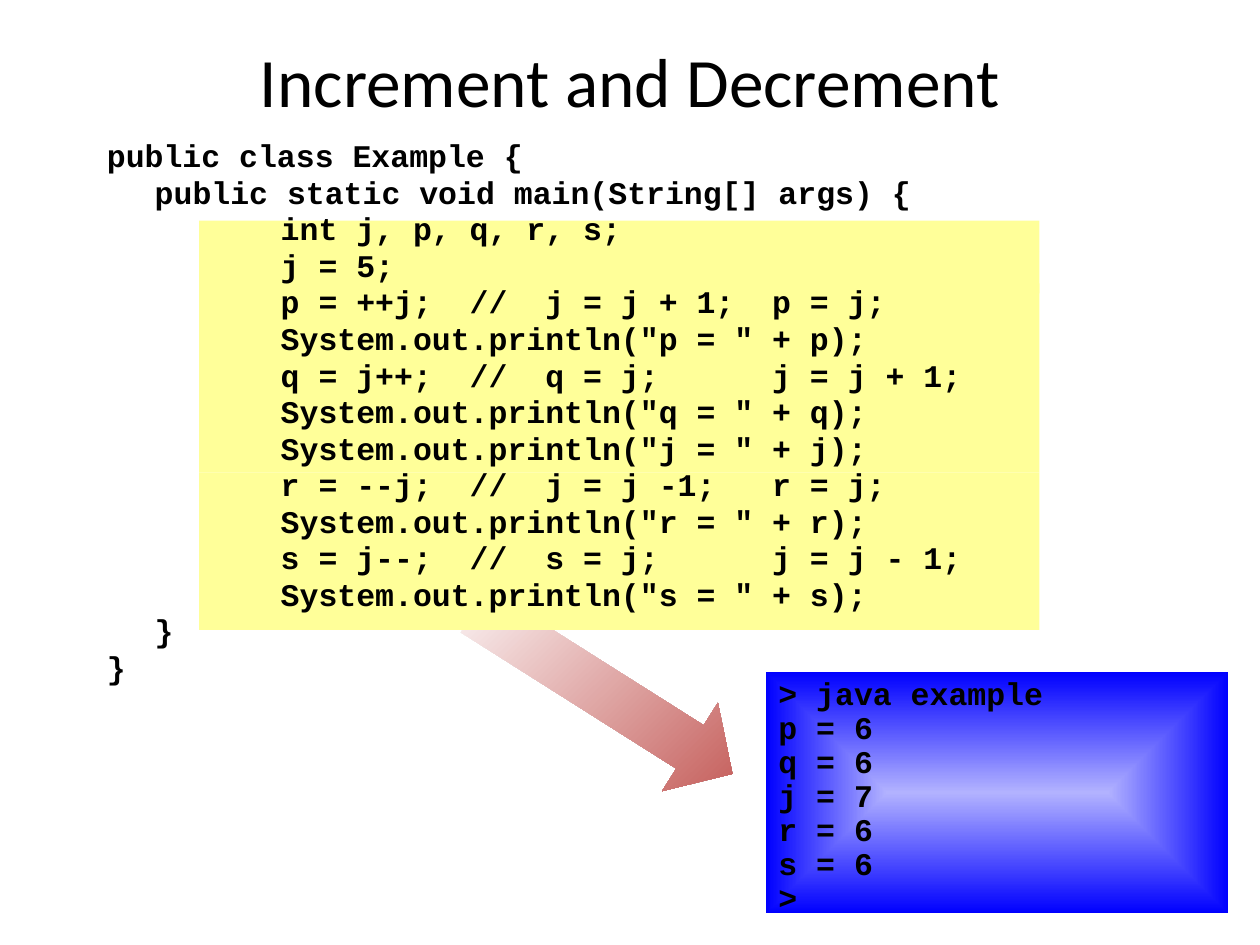
from lxml import etree
from pptx import Presentation
from pptx.dml.color import RGBColor
from pptx.enum.shapes import MSO_SHAPE
from pptx.enum.text import MSO_ANCHOR, PP_ALIGN
from pptx.oxml import parse_xml
from pptx.oxml.ns import nsdecls, qn
from pptx.util import Inches, Pt

RECT, ARROW = MSO_SHAPE.RECTANGLE, MSO_SHAPE.RIGHT_ARROW
TOP, MIDDLE = MSO_ANCHOR.TOP, MSO_ANCHOR.MIDDLE
LEFT, CENTER = PP_ALIGN.LEFT, PP_ALIGN.CENTER

COLORS = {
    "text": "000000",
    "band": "FFFF99",
    "console_center": "B2B2FF",
    "console_edge": "0000FF",
    "arrow_start": "FFFFFF",
    "arrow_end": "C0504D",
}
TITLE = "Increment and Decrement"
CODE = [
    (0, "public class Example {"),
    (1, "public static void main(String[] args) {"),
    (2, "int j, p, q, r, s;"),
    (2, "j = 5;"),
    (2, "p = ++j;  //  j = j + 1;  p = j;"),
    (2, 'System.out.println("p = " + p);'),
    (2, "q = j++;  //  q = j;      j = j + 1;"),
    (2, 'System.out.println("q = " + q);'),
    (2, 'System.out.println("j = " + j);'),
    (2, "r = --j;  //  j = j -1;   r = j;"),
    (2, 'System.out.println("r = " + r);'),
    (2, "s = j--;  //  s = j;      j = j - 1;"),
    (2, 'System.out.println("s = " + s);'),
    (1, "}"),
    (0, "}"),
]
OUTPUT = ["> java example", "p = 6", "q = 6", "j = 7", "r = 6", "s = 6", ">"]
BANDS = [(1.75, 0.25), (2, 0.33), (2.25, 0.67), (2.92, 0.58),
         (3.5, 0.25), (3.75, 0.67), (4.42, 0.58)]


def rgb(name):
    return RGBColor.from_string(COLORS[name])


def style(p, font, size, bold, align):
    p.alignment = align
    for r in p.runs:
        r.font.name, r.font.size, r.font.bold = font, Pt(size), bold
        r.font.color.rgb = rgb("text")


def write_code(tf, lines, spacing):
    tf.vertical_anchor = TOP
    tf.text = "\n".join(lines)
    for p in tf.paragraphs:
        p.line_spacing = spacing
        style(p, "Courier New", 18, True, LEFT)


def add_block(s, kind, x, y, w, h):
    sp = s.shapes.add_shape(kind, Inches(x), Inches(y), Inches(w), Inches(h))
    sp.shadow.inherit = False
    sp.line.fill.background()
    return sp


def set_gradient(sp, start, end):
    sp.fill.gradient()
    for stop, name, position in zip(sp.fill.gradient_stops, (start, end), (0, 1)):
        stop.color.rgb = rgb(name)
        stop.position = position


def make_radial(sp):
    grad = sp.element.spPr.find(qn("a:gradFill"))
    grad.remove(grad.find(qn("a:lin")))
    path = parse_xml(f'<a:path {nsdecls("a")} path="shape"/>')
    etree.SubElement(path, qn("a:fillToRect"), l="50000", t="50000", r="50000", b="50000")
    grad.append(path)


def add_title(s):
    sp = s.shapes.title
    sp.left, sp.top, sp.width, sp.height = map(Inches, (0.75, 0.34, 8.5, 0.58))
    tf = sp.text_frame
    tf.text = TITLE
    tf.vertical_anchor = MIDDLE
    style(tf.paragraphs[0], "Calibri", 39.6, False, CENTER)


def add_console(s):
    sp = add_block(s, RECT, 6.08, 5.33, 3.67, 1.92)
    set_gradient(sp, "console_center", "console_edge")
    make_radial(sp)
    sp.text_frame.word_wrap = False
    write_code(sp.text_frame, OUTPUT, 0.9)


def add_arrow(s):
    sp = add_block(s, ARROW, 3.58, 5.08, 2.42, 0.83)
    sp.rotation = 32.3
    sp.adjustments[0], sp.adjustments[1] = 0.49, 0.48
    set_gradient(sp, "arrow_start", "arrow_end")
    sp.fill.gradient_angle = 347


def add_bands(s):
    for y, h in BANDS:
        sp = add_block(s, RECT, 1.58, y, 6.67, h)
        sp.fill.solid()
        sp.fill.fore_color.rgb = rgb("band")


def add_listing(s):
    sp = s.shapes.add_textbox(Inches(0.75), Inches(1.09), Inches(7.67), Inches(4.67))
    tf = sp.text_frame
    tf.word_wrap = True
    write_code(tf, ["\t" * level + line for level, line in CODE], 0.8)
    for p in tf.paragraphs:
        p.space_before = Pt(3.6)
        pPr = p._p.get_or_add_pPr()
        pPr.set("marL", str(Inches(0.38)))
        pPr.set("indent", str(-Inches(0.38)))
        pPr.set("defTabSz", str(Inches(1)))


def main():
    """Build the increment and decrement slide."""
    prs = Presentation()
    prs.slide_width, prs.slide_height = Inches(10), Inches(7.5)
    s = prs.slides.add_slide(prs.slide_layouts[5])
    for add_part in (add_title, add_console, add_arrow, add_bands, add_listing):
        add_part(s)
    prs.save("out.pptx")


if __name__ == "__main__":
    main()
